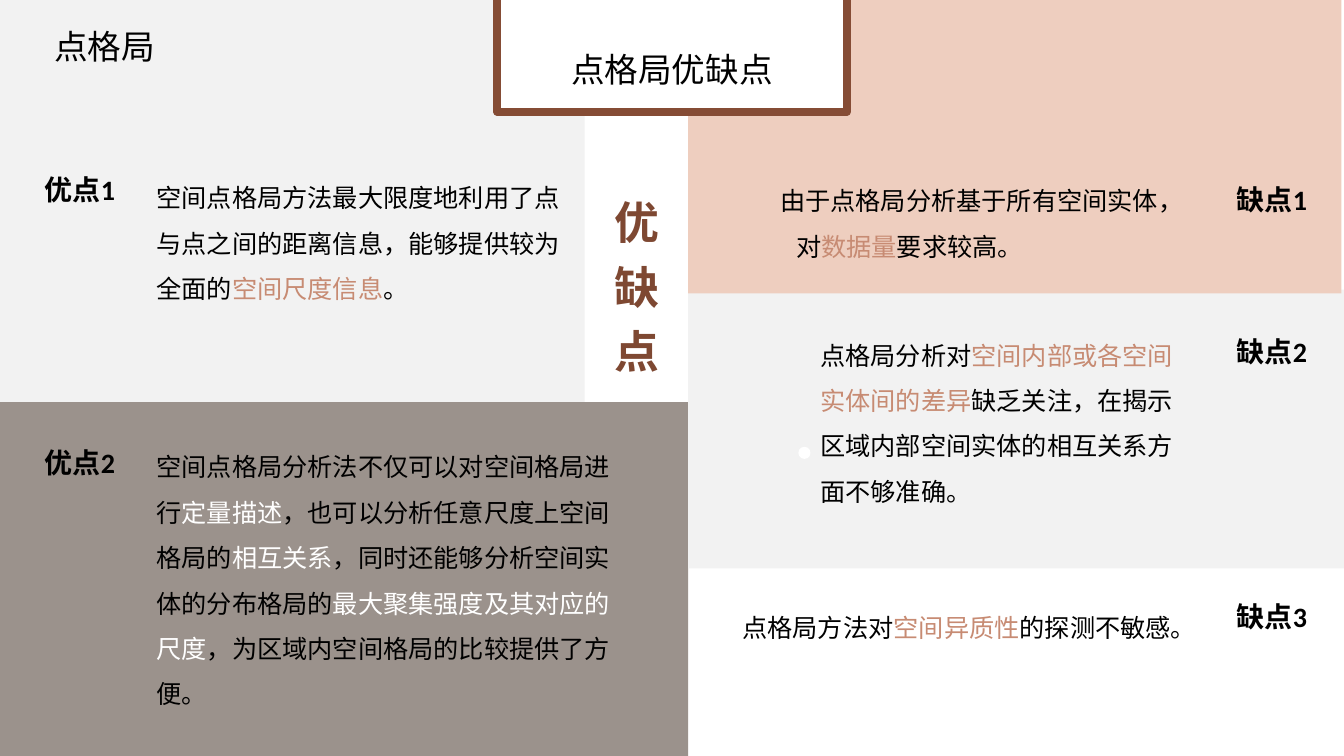
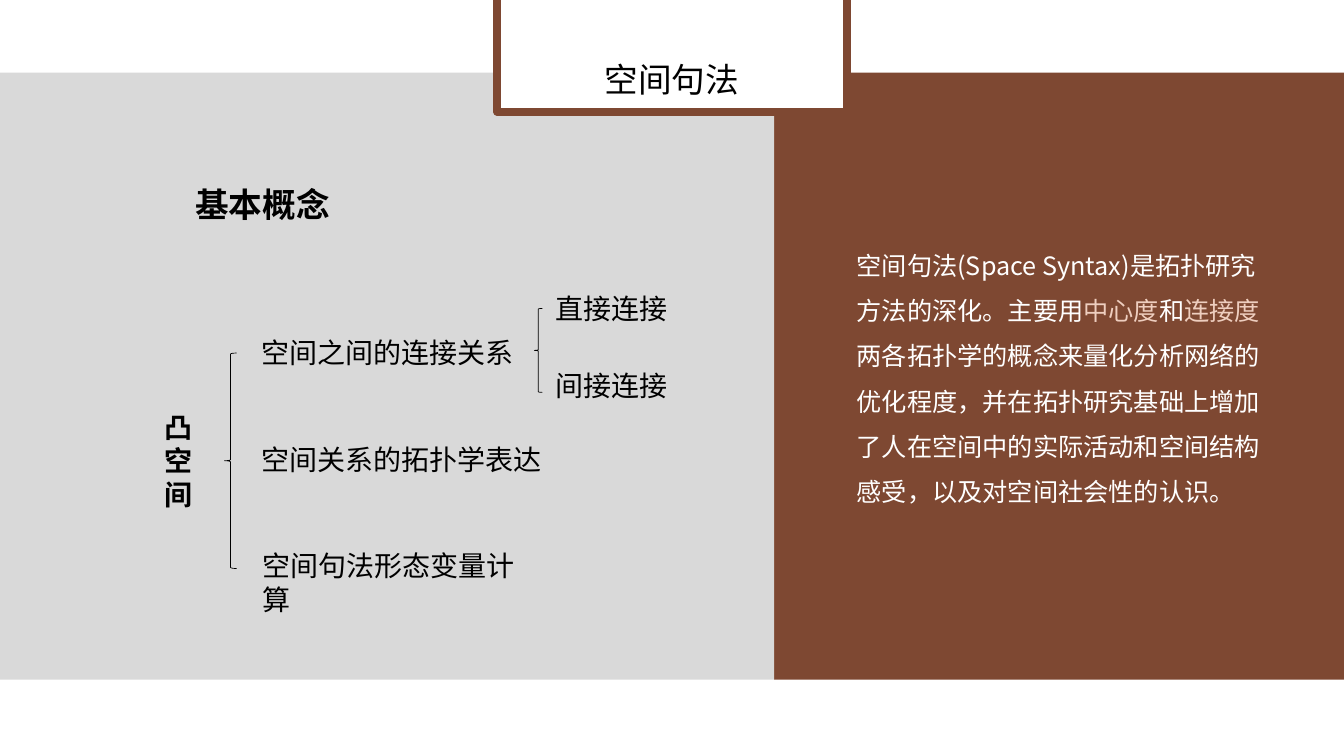
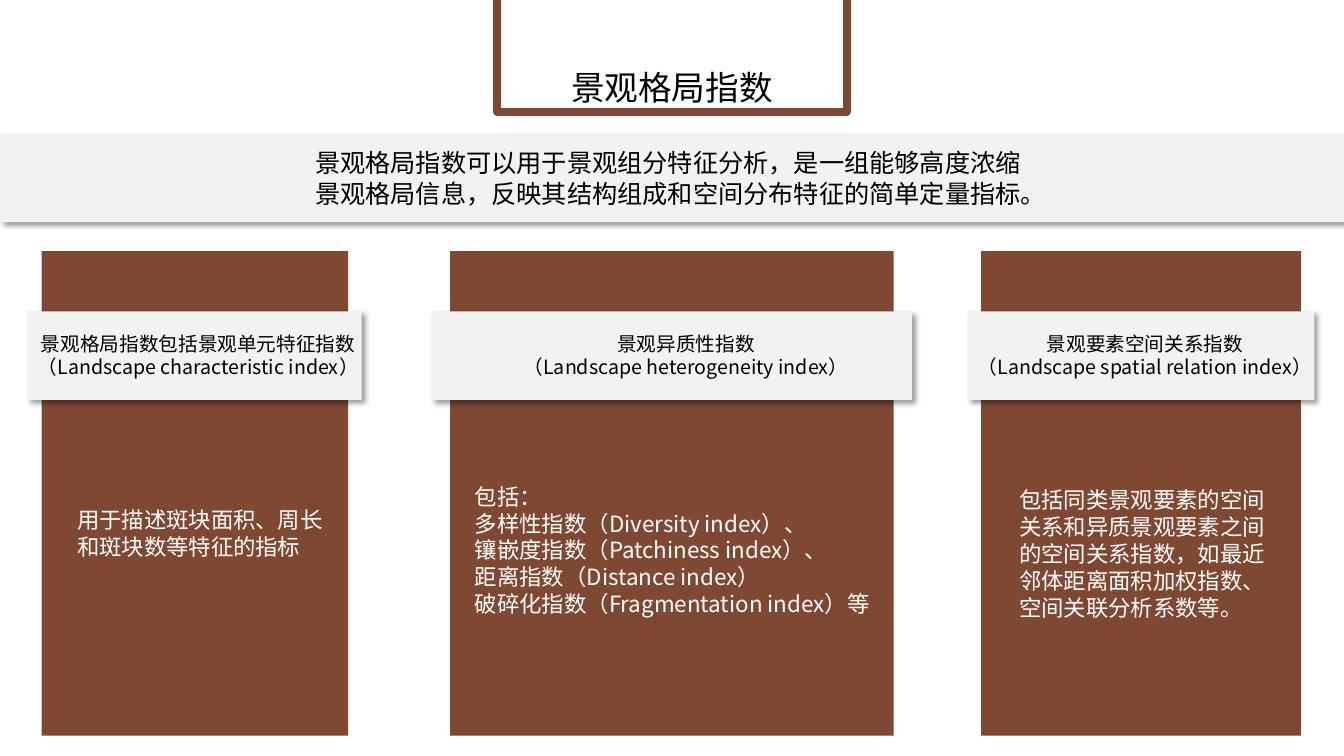
from lxml import etree
from pptx import Presentation, util as u
from pptx.dml.color import RGBColor
from pptx.enum import shapes, text
from pptx.oxml.ns import qn

BROWN = RGBColor(0x7E, 0x48, 0x32)
RUST = RGBColor(0x85, 0x4C, 0x35)
CLAY = RGBColor(0xC7, 0x8B, 0x73)
PEACH = RGBColor(0xEE, 0xCE, 0xBF)
TAUPE = RGBColor(0x9B, 0x92, 0x8C)
SILVER = RGBColor(0xD9, 0xD9, 0xD9)
PALE = RGBColor(0xF2, 0xF2, 0xF2)
WHITE = RGBColor(0xFF, 0xFF, 0xFF)
BLACK = RGBColor(0, 0, 0)
SANS = "Noto Sans CJK SC"
RECT = shapes.MSO_SHAPE.RECTANGLE
BRACE = shapes.MSO_SHAPE.LEFT_BRACE
LEFT, MID, RIGHT = text.PP_ALIGN.LEFT, text.PP_ALIGN.CENTER, text.PP_ALIGN.RIGHT
TOP, CENTRE, BASE = text.MSO_ANCHOR.TOP, text.MSO_ANCHOR.MIDDLE, text.MSO_ANCHOR.BOTTOM

deck = Presentation()
deck.slide_width, deck.slide_height = u.Inches(13.33), u.Inches(7.5)
COL, ROW = deck.slide_width / 100, deck.slide_height / 100


def draw(page, area, fill=None, line=None, width=0.5, kind=RECT, shade=False):
    """Draw a shape; area is left, top, width, height in percent of the slide."""
    x, y, w, h = area
    item = page.shapes.add_shape(kind, int(x * COL), int(y * ROW), int(w * COL), int(h * ROW))
    item.shadow.inherit = False
    if fill is None:
        item.fill.background()
    else:
        item.fill.solid()
        item.fill.fore_color.rgb = fill
    if line is None:
        item.line.fill.background()
    else:
        item.line.color.rgb = line
        item.line.width = u.Pt(width)
    if shade:
        glow = etree.SubElement(
            item._element.spPr.find(qn("a:effectLst")), qn("a:outerShdw"),
            blurRad=str(u.Pt(4)), dist=str(u.Pt(3)), dir="2700000", algn="tl", rotWithShape="0")
        tint = etree.SubElement(glow, qn("a:srgbClr"), val="000000")
        etree.SubElement(tint, qn("a:alpha"), val="40000")


def write(page, area, words, size, ink=BLACK, mark=CLAY, bold=False, face=SANS,
          align=LEFT, anchor=TOP, gap=1.0, left=0, first=0):
    """Write one paragraph per line of words; parts between bars take the mark colour."""
    x, y, w, h = area
    frame = page.shapes.add_textbox(int(x * COL), int(y * ROW), int(w * COL), int(h * ROW)).text_frame
    frame.word_wrap = True
    frame.vertical_anchor = anchor
    for i, row in enumerate(words.split("\n")):
        para = frame.add_paragraph() if i else frame.paragraphs[0]
        para.alignment = align
        para.line_spacing = gap
        props = para._p.get_or_add_pPr()
        props.set("marL", str(u.Inches(left)))
        props.set("indent", str(u.Inches(first)))
        font = para.font
        font.size, font.bold, font.name = u.Pt(size), bold, face
        font.color.rgb = ink
        etree.SubElement(props.find(qn("a:defRPr")), qn("a:ea"), typeface=SANS)
        for j, part in enumerate(row.split("|")):
            run = para.add_run()
            run.text = part
            if j % 2:
                run.font.color.rgb = mark


# Pages: background panels, then the hanging title frame
plans = [
    ("点格局优缺点", 12.5, RUST, [
        ((0, 0, 43.5, 53.4), PALE), ((0, 53.2, 51.2, 46.8), TAUPE),
        ((51.2, 38.3, 48.8, 36.9), PALE), ((51.2, 0, 48.6, 38.8), PEACH)]),
    ("空间句法", 13.9, BROWN, [
        ((57.6, 9.6, 42.4, 80.3), BROWN), ((0, 9.6, 57.6, 80.3), SILVER)]),
    ("景观格局指数", 14.9, BROWN, []),
]
pages = []
for title, base, edge, panels in plans:
    page = deck.slides.add_slide(deck.slide_layouts[6])
    for area, fill in panels:
        draw(page, area, fill)
    draw(page, (37, -8, 26, 22.8), WHITE, edge, 5.5)
    write(page, (38, base - 9.2, 24, 9.2), title, 24, align=MID, anchor=BASE, gap=0.9)
    pages.append(page)
pros, syntax, index = pages

# Strengths and weaknesses
write(pros, (0, 0.3, 15.6, 9.2), "点格局", 24, align=MID, anchor=BASE, gap=0.9)
draw(pros, (59.4, 59.1, 0.9, 1.6), WHITE, kind=shapes.MSO_SHAPE.OVAL)
write(pros, (39.8, 33.5, 15.2, 7.3), "优\n缺\n点", 32, BROWN, bold=True,
      align=MID, anchor=CENTRE, gap=1.2)
points = [
    ("优点1", 2.6, 21.9, LEFT, CLAY, 0, (10.9, 21.5, 33.3, 24.9),
     "空间点格局方法最大限度地利用了点与点之间的距离信息，能够提供较为全面的|空间尺度信息|。"),
    ("优点2", 2.6, 57.9, LEFT, WHITE, 0, (10.9, 57.1, 35.5, 42.9),
     "空间点格局分析法不仅可以对空间格局进行|定量描述|，也可以分析任意尺度上空间格局的|相互关系|，"
     "同时还能够分析空间实体的分布格局的|最大聚集强度及其对应的尺度|，为区域内空间格局的比较提供了方便。"),
    ("缺点1", 89.7, 23.1, RIGHT, CLAY, 0.16, (57.3, 21.9, 29.9, 12.1),
     "由于点格局分析基于所有空间实体，对|数据量|要求较高。"),
    ("缺点2", 89.7, 43.2, RIGHT, CLAY, 0, (60.3, 42.3, 29.4, 26.9),
     "点格局分析对|空间内部或各空间实体间的差异|缺乏关注，在揭示区域内部空间实体的相互关系方面不够准确。"),
    ("缺点3", 89.7, 78.3, RIGHT, CLAY, 0, (54.5, 78.3, 35.2, 21.7),
     "点格局方法对|空间异质性|的探测不敏感。"),
]
for label, x, y, side, mark, hang, area, body in points:
    write(pros, (x, y, 8.3, 6.4), label, 20, bold=True, face="Calibri", align=side, anchor=CENTRE)
    write(pros, area, body, 18, mark=mark, gap=1.5, left=hang, first=-hang)

# Space syntax
write(syntax, (63, 30.4, 32, 37.7),
      "空间句法(Space Syntax)是拓扑研究方法的深化。主要用|中心度|和|连接度|两各拓扑学的概念来量化分析"
      "网络的优化程度，并在拓扑研究基础上增加了人在空间中的实际活动和空间结构感受，以及对空间社会性的认识。",
      18, WHITE, PEACH, gap=1.5)
write(syntax, (13.8, 23.7, 12, 6.7), "基本概念", 24, bold=True)
write(syntax, (11.5, 53.6, 3.7, 14.8), "凸空间", 20, bold=True)
for area in [(16.7, 46.7, 0.9, 28.5), (39.75, 40.8, 0.6, 11.1)]:
    draw(syntax, area, line=BLACK, kind=BRACE)
terms = [
    (18.7, 43.7, 23.4, "空间之间的连接关系"),
    (18.7, 57.9, 23.4, "空间关系的拓扑学表达"),
    (18.8, 71.9, 22, "空间句法形态变量计算"),
    (40.6, 37.9, 10.7, "直接连接"),
    (40.6, 48.1, 10.7, "间接连接"),
]
for x, y, w, term in terms:
    write(syntax, (x, y, w, 5.9), term, 20)

# Landscape indices
draw(index, (0, 17.7, 100, 11.7), PALE, shade=True)
write(index, (22.7, 18.9, 55.7, 9.5),
      "景观格局指数可以用于景观组分特征分析，是一组能够高度浓缩景观格局信息，"
      "反映其结构组成和空间分布特征的简单定量指标。", 18)
cards = [
    (3.1, 22.8, 1, 0.5, "景观格局指数包括景观单元特征指数\n（Landscape characteristic index）",
     (5, 66.3, 20.9, 8.5), "用于描述斑块面积、周长和斑块数等特征的指标"),
    (33.5, 33, 1.35, 36.8, "景观异质性指数\n（Landscape heterogeneity index）",
     (34.6, 63.2, 31.9, 19.3),
     "包括：\n多样性指数（Diversity index）、\n镶嵌度指数（Patchiness index）、\n"
     "距离指数（Distance index）\n破碎化指数（Fragmentation index）等"),
    (73, 23.8, 1, 70.95, "景观要素空间关系指数\n（Landscape spatial relation index）",
     (75.1, 63.7, 20.9, 19.3),
     "包括同类景观要素的空间关系和异质景观要素之间的空间关系指数，如最近邻体距离面积加权指数、空间关联分析系数等。"),
]
for x, w, pad, start, head, area, body in cards:
    draw(index, (x, 33.2, w, 64.1), BROWN)
    draw(index, (x - pad, 41.2, w + 2 * pad, 11.7), PALE, shade=True)
    write(index, (start, 43.2, 27.45, 7.6), head, 14, align=MID, first=0.14)
    write(index, area, body, 16, WHITE)

deck.save("out.pptx")
